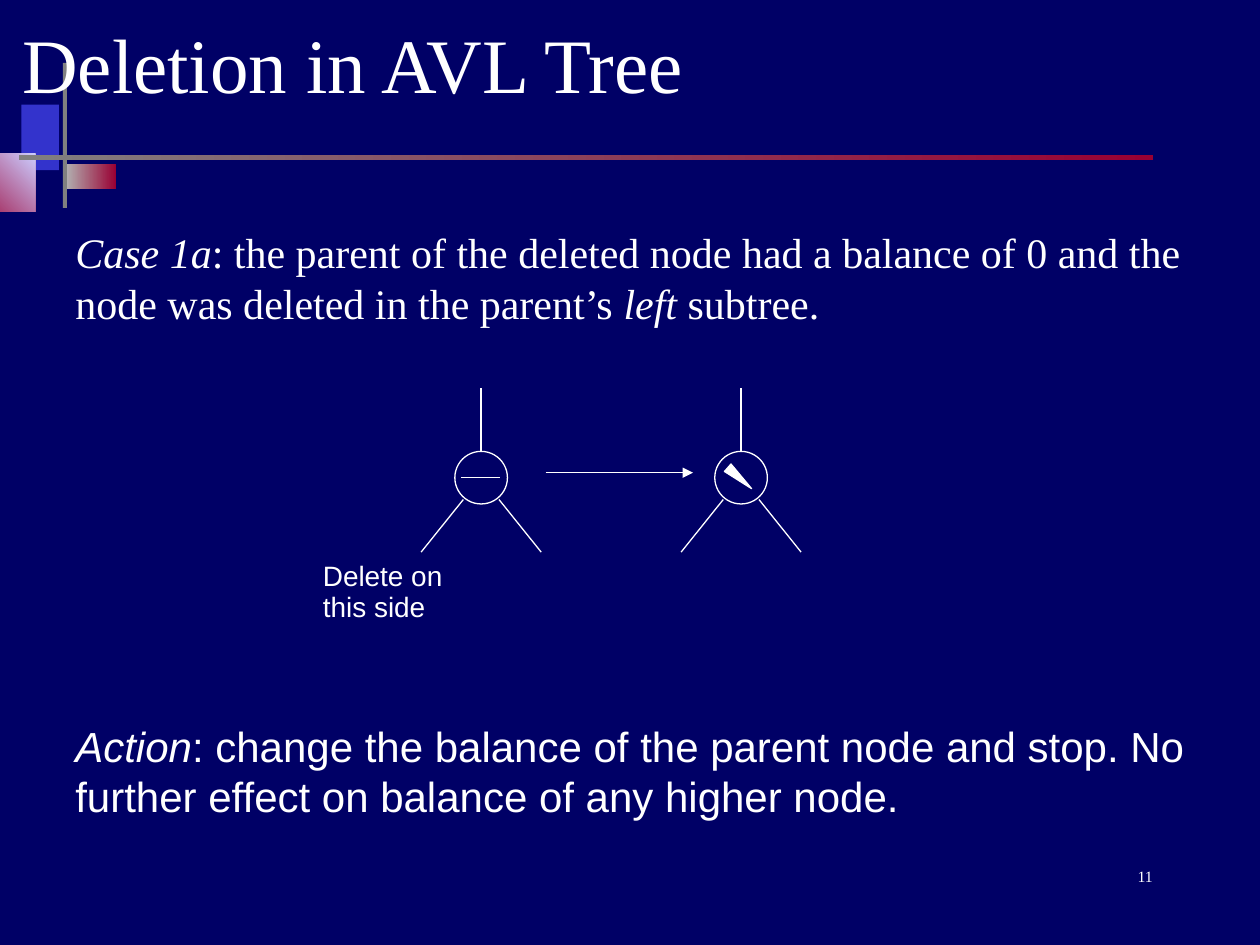
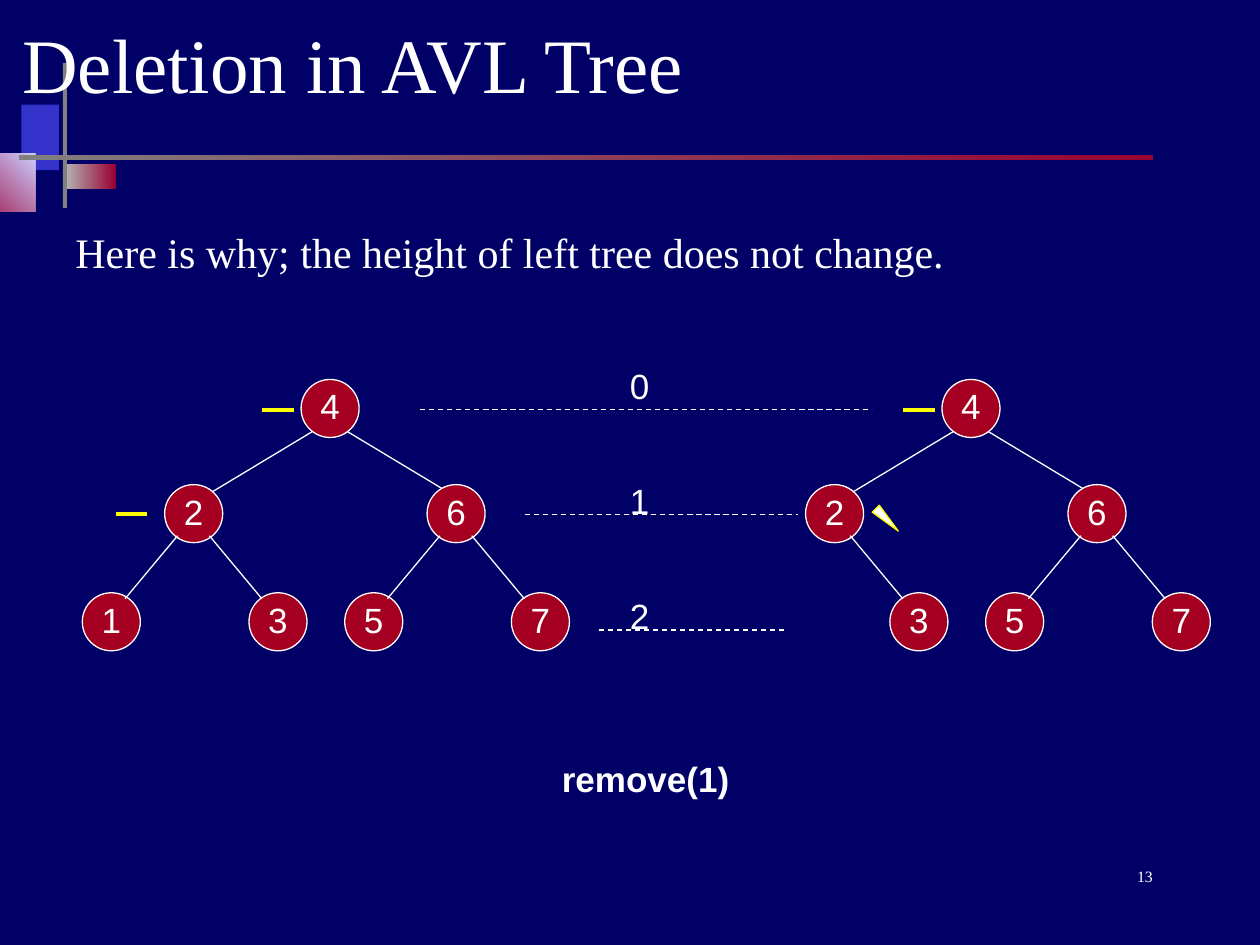
from lxml.etree import SubElement as Sub
from pptx import Presentation
from pptx.dml.color import RGBColor as Rgb
from pptx.enum.dml import MSO_LINE as Dash
from pptx.enum.shapes import MSO_CONNECTOR as Conn, MSO_SHAPE as Kind
from pptx.enum.text import MSO_ANCHOR as Anchor, PP_ALIGN as Align
from pptx.oxml.ns import qn
from pptx.util import Cm, Pt

# Shared look
NAVY = Rgb(0x00, 0x00, 0x66)
WHITE = Rgb(0xFF, 0xFF, 0xFF)
YELLOW = Rgb(0xFF, 0xFF, 0x00)
RED = Rgb(0xA5, 0x00, 0x21)
WINE = Rgb(0x99, 0x00, 0x33)
BLUE = Rgb(0x33, 0x33, 0xCC)
LILAC = Rgb(0xCC, 0xCC, 0xFF)
SILVER = Rgb(0xB2, 0xB2, 0xB2)
GREY = Rgb(0x80, 0x80, 0x80)
SERIF, SANS = "Times New Roman", "Arial"

# Left, top, width, height, colours, gradient angle
BANDS = [
    (0.43, 2.11, 0.76, 1.32, [BLUE], 0),
    (1.32, 3.3, 1.02, 0.51, [SILVER, WINE], 0),
    (-0.84, 3.1, 1.55, 1.17, [WINE, LILAC], 45),
    (1.27, 1.27, 0.08, 2.92, [GREY], 0),
    (0.38, 3.12, 22.86, 0.1, [GREY, WINE], 0),
]

# Search tree: node -> centre, and parent -> children
SPOTS = {4: (6.65, 8.23), 2: (3.9, 10.35), 6: (9.19, 10.35),
         1: (2.24, 12.53), 3: (5.6, 12.53), 5: (7.53, 12.53), 7: (10.89, 12.53)}
KIDS = {4: (2, 6), 2: (1, 3), 6: (5, 7)}
SHIFT = 12.92


def add_form(slide, kind, left, top, width, height, fill=None, edge=None):
    form = slide.shapes.add_shape(kind, Cm(left), Cm(top), Cm(width), Cm(height))
    form.shadow.inherit = False
    if fill is None:
        form.fill.background()
    else:
        form.fill.solid()
        form.fill.fore_color.rgb = fill
    if edge is None:
        form.line.fill.background()
    else:
        form.line.color.rgb = edge
        form.line.width = Pt(0.75)
    return form


def add_line(slide, x1, y1, x2, y2, color=WHITE, width=0.75, dash=None, arrow=False):
    line = slide.shapes.add_connector(Conn.STRAIGHT, Cm(x1), Cm(y1), Cm(x2), Cm(y2))
    line.line.color.rgb = color
    line.line.width = Pt(width)
    if dash:
        line.line.dash_style = dash
    if arrow:
        Sub(line.line._get_or_add_ln(), qn("a:tailEnd"), type="triangle")
    Sub(line._element.spPr, qn("a:effectLst"))


def style(para, size, face, bold=False):
    for run in para.runs:
        run.font.size, run.font.name, run.font.bold = Pt(size), face, bold
        run.font.color.rgb = WHITE


def add_text(slide, left, top, width, height, parts, size, face=SANS,
             align=Align.LEFT, space=1.0, bold=False):
    """Every second part, starting with the first, is italic when parts is a list."""
    box = slide.shapes.add_textbox(Cm(left), Cm(top), Cm(width), Cm(height))
    frame = box.text_frame
    frame.word_wrap = True
    para = frame.paragraphs[0]
    para.alignment, para.line_spacing = align, space
    if isinstance(parts, str):
        para.text = parts
    else:
        for i, part in enumerate(parts):
            run = para.add_run()
            run.text = part
            run.font.italic = i % 2 == 0
    style(para, size, face, bold)
    return frame


def add_wedge(slide, left, top, turn, edge):
    wedge = add_form(slide, Kind.ISOSCELES_TRIANGLE, left, top, 0.2, 0.64, WHITE, edge)
    wedge.rotation = turn


def add_base(deck, number):
    """Blank slide with bands, title and page number."""
    slide = deck.slides.add_slide(deck.slide_layouts[6])
    for left, top, width, height, colors, angle in BANDS:
        band = add_form(slide, Kind.RECTANGLE, left, top, width, height, colors[0])
        if len(colors) > 1:
            band.fill.gradient()
            band.fill.gradient_angle = angle
            for stop, color in zip(band.fill.gradient_stops, colors):
                stop.color.rgb = color
    add_text(slide, 18.21, 17.35, 5.28, 1.27, str(number), 9, SERIF, Align.RIGHT)
    title = add_text(slide, 0.2, 0, 22.86, 2.54, "Deletion in AVL Tree", 44, SERIF)
    title.vertical_anchor = Anchor.MIDDLE
    return slide


def add_joint(slide, x, y):
    """Open node with a stem above and two legs below."""
    add_form(slide, Kind.OVAL, x - 0.53, y - 0.53, 1.06, 1.06, edge=WHITE)
    add_line(slide, x, y - 0.53, x, y - 1.8)
    for side in (-1, 1):
        add_line(slide, x + side * 0.36, y + 0.44, x + side * 1.21, y + 1.5)


def add_node(slide, x, y, key):
    node = add_form(slide, Kind.OVAL, x - 0.58, y - 0.58, 1.17, 1.17, RED, WHITE)
    frame = node.text_frame
    frame.margin_left = frame.margin_right = frame.margin_top = 0
    frame.margin_bottom = Cm(0.1)
    frame.vertical_anchor = Anchor.MIDDLE
    frame.text = str(key)
    frame.paragraphs[0].alignment = Align.CENTER
    style(frame.paragraphs[0], 20, SANS)


def add_edges(slide, top, shift, reach, gone):
    x, y = SPOTS[top]
    for side, kid in zip((-1, 1), KIDS[top]):
        if kid != gone:
            start = x + shift + side * 0.32
            add_line(slide, start, y + 0.45, start + side * reach, y + 1.72)


def add_tree(slide, shift=0, gone=None):
    add_edges(slide, 4, shift, 2.11, gone)
    for key, (x, y) in SPOTS.items():
        if key != gone:
            add_node(slide, x + shift, y, key)
    for top in (2, 6):
        add_edges(slide, top, shift, 1.06, gone)


def add_dash(slide, x, y):
    """Yellow mark of an even balance."""
    add_line(slide, x, y, x + 0.64, y, YELLOW, 2.25)


def make_case(deck):
    slide = add_base(deck, 11)
    add_text(slide, 1.27, 4.45, 24.13, 2.34, [
        "Case 1a",
        ": the parent of the deleted node had a balance of 0 and the node was "
        "deleted in the parent’s ",
        "left", " subtree."], 24, SERIF)
    add_text(slide, 1.27, 14.4, 24.13, 2.34, [
        "Action",
        ": change the balance of the parent node and stop. No further effect on "
        "balance of any higher node."], 24)
    # Balance before and after
    for x in (9.7, 14.94):
        add_joint(slide, x, 9.63)
    add_line(slide, 9.3, 9.62, 10.07, 9.62)
    add_wedge(slide, 14.81, 9.32, 131.2, WHITE)
    add_line(slide, 11, 9.53, 13.97, 9.53, arrow=True)
    note = add_text(slide, 5.29, 11.22, 4.49, 1.48, "Delete on this side", 16, space=0.9)
    note.margin_left = Cm(1.22)


def make_why(deck):
    slide = add_base(deck, 13)
    add_text(slide, 1.27, 4.45, 22.86, 1.48,
             "Here is why; the height of left tree does not change.", 24, SERIF)
    add_tree(slide)
    add_tree(slide, SHIFT, gone=1)
    # Levels
    levels = [(8.47, 17.57, 8.26), (10.58, 16.09, 10.37), (12.07, 15.88, 12.7)]
    for level, (left, right, y) in enumerate(levels):
        add_line(slide, left, y, right, y, dash=Dash.DASH)
        add_text(slide, 12.45, 7.32 + level * 2.32, 0.9, 1.02, str(level), 20, space=0.9)
    # Balance marks
    for x, y in ((2.33, 10.37), (5.29, 8.26), (5.29 + SHIFT, 8.26)):
        add_dash(slide, x, y)
    add_wedge(slide, 17.78, 10.16, 134.8, YELLOW)
    add_text(slide, 10.58, 15.24, 4.87, 1.02, "remove(1)", 20,
             align=Align.CENTER, space=0.9, bold=True)


def main():
    deck = Presentation()
    deck.slide_width, deck.slide_height = Cm(25.4), Cm(19.05)
    back = deck.slide_master.background.fill
    back.solid()
    back.fore_color.rgb = NAVY
    make_case(deck)
    make_why(deck)
    deck.save("out.pptx")


if __name__ == "__main__":
    main()
